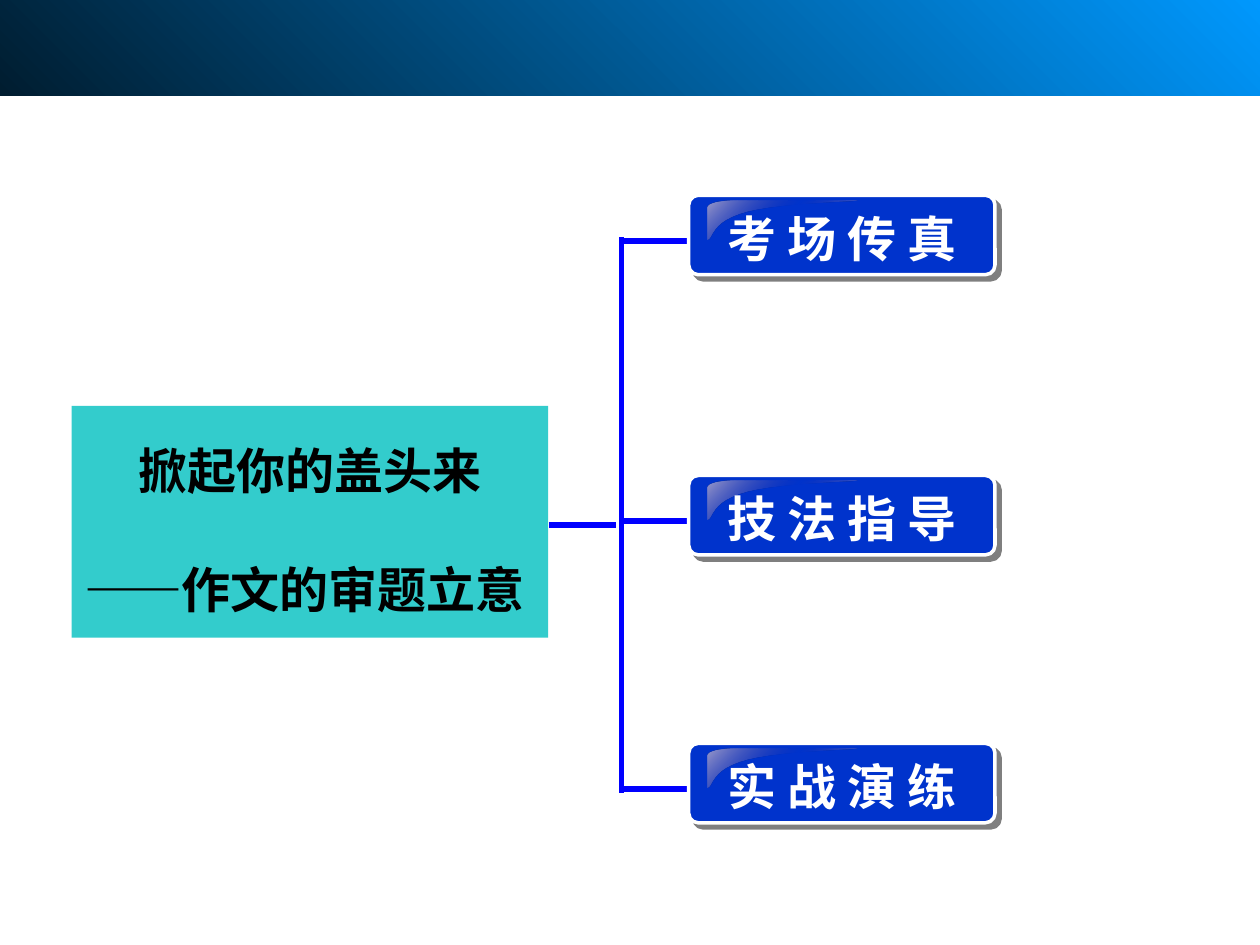
from dataclasses import dataclass

from lxml import etree
from pptx import Presentation
from pptx.dml.color import RGBColor
from pptx.enum.shapes import MSO_CONNECTOR, MSO_SHAPE
from pptx.enum.text import MSO_ANCHOR, MSO_AUTO_SIZE, PP_ALIGN
from pptx.oxml import parse_xml
from pptx.oxml.ns import qn
from pptx.util import Pt

RECT, ROUND = MSO_SHAPE.RECTANGLE, MSO_SHAPE.ROUNDED_RECTANGLE
STRAIGHT = MSO_CONNECTOR.STRAIGHT
TOP, MIDDLE = MSO_ANCHOR.TOP, MSO_ANCHOR.MIDDLE
LEFT, CENTER = PP_ALIGN.LEFT, PP_ALIGN.CENTER
GROW = MSO_AUTO_SIZE.SHAPE_TO_FIT_TEXT
NS = "http://schemas.openxmlformats.org/drawingml/2006/main"
FONT = "Times New Roman"
COLORS = {
    "sky": "0099FF", "night": "001D30", "teal": "33CCCC", "line": "0000FF",
    "button": "0033CC", "white": "FFFFFF", "black": "000000",
    "shine": "9B9BCC", "clear": "333399",
}
TRUNK = 355


@dataclass
class Topic:
    text: str
    top: float


@dataclass
class Stop:
    place: int
    color: str
    alpha: int = 100


TOPICS = [
    Topic("考 场 传 真", 111.6),
    Topic("技 法 指 导", 271.7),
    Topic("实 战 演 练", 424.8),
]
# Bezier curves of the gloss, relative to a button's left and top
GLOSS = [
    ((28, 3), (18.5, 3), (11, 4.5), (11, 7.2)),
    ((11, 25), (14.6, 25.2), (12.2, 14.5), (34.4, 9.2)),
    ((34.4, 9.2), (56, 4.1), (98, 4), (96.5, 3)),
]


def color(name: str) -> RGBColor:
    return RGBColor.from_string(COLORS[name])


def write(shape, lines, *, tint, align=(LEFT,), anchor=MIDDLE,
          inset=(7.2, 3.6, 7.2, 3.6), space=None, gap=0) -> None:
    """Fill a shape with bold paragraphs; inset is left, top, right, bottom."""
    frame = shape.text_frame
    frame.word_wrap = True
    frame.auto_size = GROW
    frame.vertical_anchor = anchor
    (frame.margin_left, frame.margin_top,
     frame.margin_right, frame.margin_bottom) = map(Pt, inset)
    for i, line in enumerate(lines):
        para = frame.paragraphs[0] if i == 0 else frame.add_paragraph()
        para.alignment = align[i]
        para.line_spacing = space
        if i:
            para.space_before = Pt(gap)
        run = para.add_run()
        run.text = line
        run.font.name = FONT
        run.font.size = Pt(28)
        run.font.bold = True
        run.font.color.rgb = color(tint)


def box(slide, kind, left, top, width, height, fill=None):
    shape = slide.shapes.add_shape(kind, Pt(left), Pt(top), Pt(width), Pt(height))
    shape.shadow.inherit = False
    shape.line.fill.background()
    if fill:
        shape.fill.solid()
        shape.fill.fore_color.rgb = color(fill)
    return shape


def blend(shape, stops: list[Stop], angle: int) -> None:
    """Give a shape a linear gradient, with the angle clockwise."""
    shape.fill.background()
    marks = "".join(
        f'<a:gs pos="{s.place * 1000}"><a:srgbClr val="{COLORS[s.color]}">'
        f'<a:alpha val="{s.alpha * 1000}"/></a:srgbClr></a:gs>' for s in stops)
    grad = parse_xml(
        f'<a:gradFill xmlns:a="{NS}" rotWithShape="1"><a:gsLst>{marks}</a:gsLst>'
        f'<a:lin ang="{angle * 60000}" scaled="0"/></a:gradFill>')
    props = shape.element.spPr
    props.replace(props.find(qn("a:noFill")), grad)


def shade(shape) -> None:
    effects = shape.element.spPr.find(qn("a:effectLst"))
    effects.append(parse_xml(
        f'<a:outerShdw xmlns:a="{NS}" blurRad="0" dist="{Pt(4.2)}" dir="2700000" '
        f'algn="ctr" rotWithShape="0"><a:srgbClr val="{COLORS["black"]}">'
        '<a:alpha val="50000"/></a:srgbClr></a:outerShdw>'))


def link(slide, x1: float, y1: float, x2: float, y2: float) -> None:
    line = slide.shapes.add_connector(STRAIGHT, Pt(x1), Pt(y1), Pt(x2), Pt(y2))
    line.line.color.rgb = color("line")
    line.line.width = Pt(3)
    etree.SubElement(line.element.spPr, qn("a:effectLst"))


def trace(curve, steps: int = 12) -> list[tuple[float, float]]:
    """Sample points along a cubic Bezier curve."""
    points = []
    for i in range(steps + 1):
        t = i / steps
        parts = ((1 - t) ** 3, 3 * t * (1 - t) ** 2, 3 * t * t * (1 - t), t ** 3)
        points.append(tuple(sum(w * p[k] for w, p in zip(parts, curve))
                            for k in (0, 1)))
    return points


def gloss(slide, left: float, top: float) -> None:
    points = [(Pt(left + x), Pt(top + y)) for c in GLOSS for x, y in trace(c)]
    path = slide.shapes.build_freeform(*points[0])
    path.add_line_segments(points[1:], close=True)
    shape = path.convert_to_shape()
    shape.shadow.inherit = False
    shape.line.fill.background()
    blend(shape, [Stop(0, "shine"), Stop(50, "clear", 0), Stop(100, "shine")], 225)


def branch(slide, topic: Topic) -> None:
    left, top = 393.6, topic.top
    link(slide, TRUNK, top + 26.1, left - 0.6, top + 26.1)
    button = box(slide, ROUND, left, top, 175, 45.4, "button")
    button.adjustments[0] = 0.12
    button.line.color.rgb = color("white")
    button.line.width = Pt(2)
    shade(button)
    gloss(slide, left, top)
    label = slide.shapes.add_textbox(Pt(left + 14.8), Pt(top + 3.8), Pt(296), Pt(41))
    write(label, [topic.text], tint="white")


def main() -> None:
    deck = Presentation()
    deck.slide_width, deck.slide_height = Pt(720), Pt(540)
    slide = deck.slides.add_slide(deck.slide_layouts[6])
    band = box(slide, RECT, 0, -8, 720, 62.8)
    blend(band, [Stop(0, "sky"), Stop(100, "night")], 135)
    title = box(slide, RECT, 41, 232, 272.2, 132.5, "teal")
    write(title, ["掀起你的盖头来", "——作文的审题立意"], tint="black",
          align=(CENTER, LEFT), anchor=TOP, inset=(7.2, 2.9, 7.2, 11.5),
          space=1.5, gap=17.5)
    link(slide, 314, 300, 352, 300)
    link(slide, TRUNK, 135.5, TRUNK, 453)
    for topic in TOPICS:
        branch(slide, topic)
    deck.save("out.pptx")


if __name__ == "__main__":
    main()
